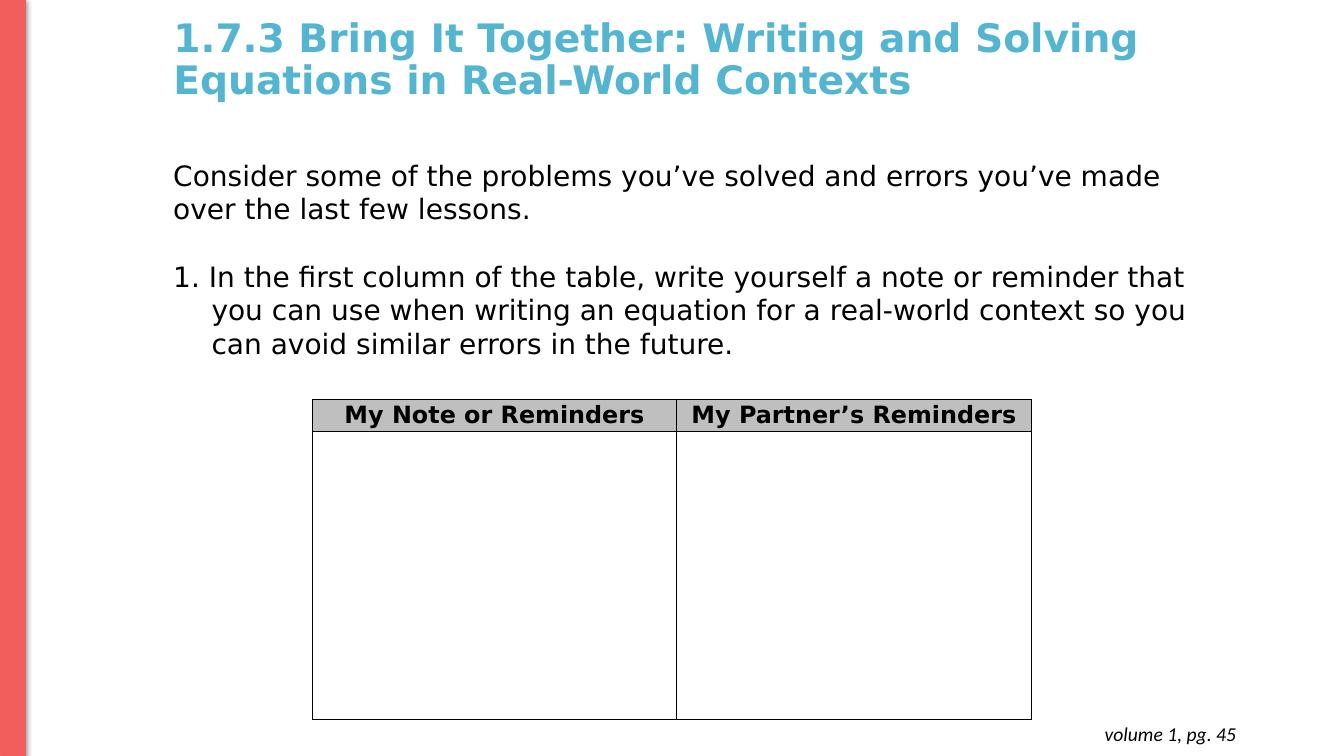
from lxml import etree
from pptx import Presentation
from pptx.dml.color import RGBColor
from pptx.enum.shapes import MSO_SHAPE
from pptx.enum.text import MSO_ANCHOR, PP_ALIGN
from pptx.oxml import parse_xml
from pptx.oxml.ns import nsdecls, qn
from pptx.util import Inches, Pt

COLORS = {
    "title": "54B5D1",
    "text": "000000",
    "bar": "F25E5B",
    "header": "BFBFBF",
    "border": "000000",
}
FONT = "DejaVu Sans"


def rgb(name):
    return RGBColor.from_string(COLORS[name])


def write(p, text, size=20, font=FONT, color="text", bold=False, italic=False,
          align=PP_ALIGN.LEFT, before=None, spacing=None, hanging=None):
    """Put one formatted run into paragraph p; hanging is an indent in inches."""
    p.alignment = align
    if before is not None:
        p.space_before = Pt(before)
    if spacing is not None:
        p.line_spacing = spacing
    if hanging is not None:
        pPr = p._p.get_or_add_pPr()
        pPr.set("marL", str(Inches(hanging)))
        pPr.set("indent", str(-Inches(hanging)))
    r = p.add_run()
    r.text = text
    f = r.font
    f.name, f.size, f.bold, f.italic = font, Pt(size), bold, italic
    f.color.rgb = rgb(color)


def set_frame(tf, anchor=MSO_ANCHOR.TOP, side=0.1, top=0.05):
    tf.word_wrap = True
    tf.vertical_anchor = anchor
    tf.margin_left = tf.margin_right = Inches(side)
    tf.margin_top = tf.margin_bottom = Inches(top)


def add_title(s, x, y, w, h):
    sp = s.shapes.title
    sp.left, sp.top, sp.width, sp.height = map(Inches, (x, y, w, h))
    set_frame(sp.text_frame, MSO_ANCHOR.MIDDLE)
    write(sp.text_frame.paragraphs[0],
          "1.7.3 Bring It Together: Writing and Solving Equations in Real-World Contexts",
          size=28, color="title", bold=True, spacing=0.9)


def add_instructions(s, x, y, w, h):
    tf = s.shapes.add_textbox(*map(Inches, (x, y, w, h))).text_frame
    set_frame(tf)
    write(tf.paragraphs[0],
          "Consider some of the problems you’ve solved and errors you’ve made "
          "over the last few lessons.")
    write(tf.add_paragraph(),
          "1. In the first column of the table, write yourself a note or reminder "
          "that you can use when writing an equation for a real-world context so "
          "you can avoid similar errors in the future.",
          before=24, hanging=0.38)


def add_side_bar(s, x, y, w, h):
    sp = s.shapes.add_shape(MSO_SHAPE.RECTANGLE, *map(Inches, (x, y, w, h)))
    sp.fill.solid()
    sp.fill.fore_color.rgb = rgb("bar")
    sp.line.color.rgb = rgb("bar")
    sp.line.width = Pt(0.75)
    sp.shadow.inherit = False
    effects = sp._element.spPr.find(qn("a:effectLst"))
    effects.append(parse_xml(
        f'<a:outerShdw {nsdecls("a")} blurRad="{Pt(4.5)}" dist="{Pt(1.5)}" '
        'dir="5400000" rotWithShape="0"><a:srgbClr val="000000">'
        '<a:alpha val="50000"/></a:srgbClr></a:outerShdw>'))


def set_borders(cell, width=1):
    tcPr = cell._tc.get_or_add_tcPr()
    for side in ("lnL", "lnR", "lnT", "lnB"):
        ln = etree.SubElement(tcPr, qn(f"a:{side}"), w=str(Pt(width)))
        fill = etree.SubElement(ln, qn("a:solidFill"))
        etree.SubElement(fill, qn("a:srgbClr"), val=COLORS["border"])


def add_reminder_table(s, x, y, col_widths, row_heights):
    headings = ("My Note or Reminders", "My Partner’s Reminders")
    box = map(Inches, (x, y, sum(col_widths), sum(row_heights)))
    table = s.shapes.add_table(len(row_heights), len(col_widths), *box).table
    table.horz_banding = False
    for col, w in zip(table.columns, col_widths):
        col.width = Inches(w)
    for row, h in zip(table.rows, row_heights):
        row.height = Inches(h)
    for cell in table.iter_cells():
        set_borders(cell)
        cell.fill.background()
    for cell, heading in zip(table.rows[0].cells, headings):
        cell.fill.solid()
        cell.fill.fore_color.rgb = rgb("header")
        cell.vertical_anchor = MSO_ANCHOR.MIDDLE
        cell.margin_left = cell.margin_right = Inches(0.07)
        cell.margin_top = cell.margin_bottom = 0
        write(cell.text_frame.paragraphs[0], heading, size=17, bold=True,
              align=PP_ALIGN.CENTER)


def add_page_reference(s, x, y, w, h):
    tf = s.shapes.add_textbox(*map(Inches, (x, y, w, h))).text_frame
    set_frame(tf, top=0.1)
    write(tf.paragraphs[0], "volume 1, pg. 45", size=14, font="Calibri",
          italic=True, align=PP_ALIGN.RIGHT)


def main():
    prs = Presentation()
    prs.slide_width, prs.slide_height = Inches(13.33), Inches(7.5)
    s = prs.slides.add_slide(prs.slide_layouts[5])
    add_title(s, 1.62, -0.12, 10.41, 1.45)
    add_instructions(s, 1.62, 1.52, 10.37, 2.46)
    add_side_bar(s, 0.01, -0.01, 0.24, 7.51)
    add_reminder_table(s, 3.1, 3.96, (3.61, 3.52), (0.32, 2.86))
    add_page_reference(s, 9.48, 7.06, 2.88, 0.44)
    prs.save("out.pptx")


if __name__ == "__main__":
    main()
